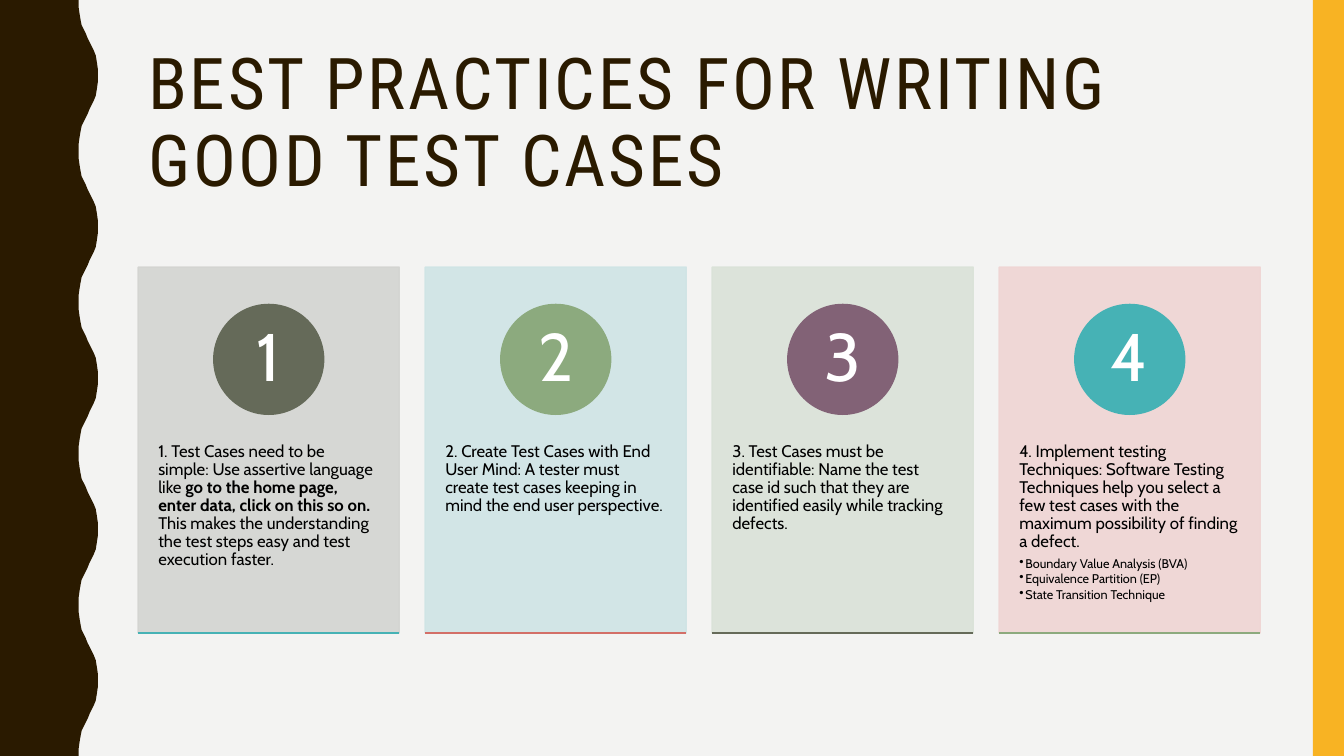
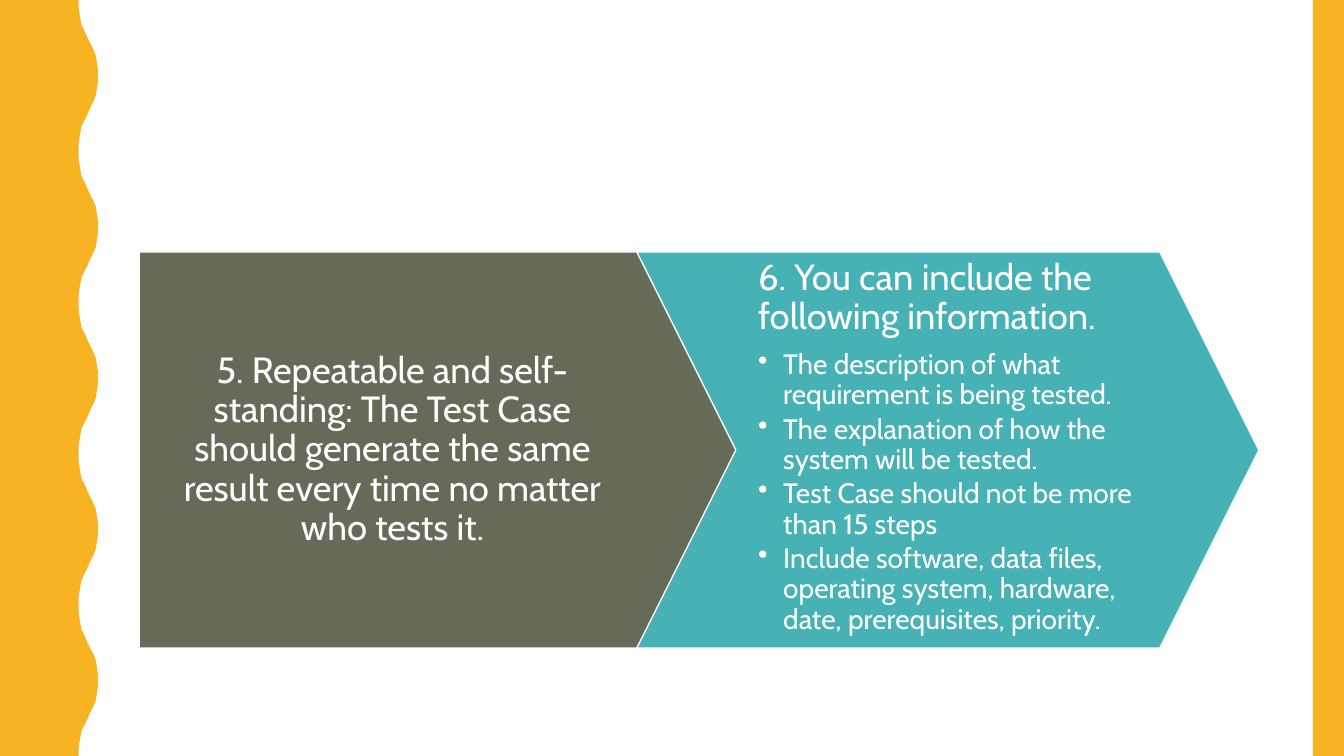
from dataclasses import dataclass

from lxml.etree import SubElement
from pptx import Presentation
from pptx.dml.color import RGBColor
from pptx.enum.shapes import MSO_CONNECTOR, MSO_SHAPE
from pptx.enum.text import MSO_ANCHOR, MSO_AUTO_SIZE, PP_ALIGN
from pptx.oxml.ns import qn
from pptx.util import Inches, Pt

# ---- Content ----
TITLE = "BEST PRACTICES FOR WRITING GOOD TEST CASES"

# Each card: runs of (text, bold), then bullets
PRACTICES = [
    ([("1. Test Cases need to be simple: Use assertive language like ", False),
      ("go to the home page, enter data, click on this so on. ", True),
      ("This makes the understanding the test steps easy and test execution faster.",
       False)], []),
    ([("2. Create Test Cases with End User Mind: A tester must create test cases "
       "keeping in mind the end user perspective.", False)], []),
    ([("3. Test Cases must be identifiable: Name the test case id such that they "
       "are identified easily while tracking defects.", False)], []),
    ([("4. Implement testing Techniques: Software Testing Techniques help you "
       "select a few test cases with the maximum possibility of finding a defect.",
       False)],
     ["Boundary Value Analysis (BVA)", "Equivalence Partition (EP)",
      "State Transition Technique"]),
]

REPEATABLE = [("5. Repeatable and self-standing: The Test Case should generate the "
               "same result every time no matter who tests it.", False)]
INFORMATION = [("6. You can include the following information.", False)]
INFORMATION_ITEMS = [
    "The description of what requirement is being tested.",
    "The explanation of how the system will be tested.",
    "Test Case should not be more than 15 steps",
    "Include software, data files, operating system, hardware, date, "
    "prerequisites, priority.",
]


# ---- Theme ----
@dataclass(frozen=True)
class Theme:
    """Colours, fonts and type sizes shared by both slides."""
    heading_font: str = "Roboto Condensed"
    body_font: str = "Cabin"
    brown: str = "2A1A00"
    amber: str = "F8B323"
    paper: str = "F3F3F2"
    white: str = "FFFFFF"
    black: str = "000000"
    olive: str = "656A59"
    teal: str = "46B2B5"
    tints: tuple = ("D3D4D1", "CFE4E5", "DAE2D8", "EFD5D4")
    badges: tuple = ("656A59", "8CAA7E", "826276", "46B2B5")
    rules: tuple = ("46B2B5", "D36F68", "656A59", "8CAA7E")
    title_size: float = 51
    badge_size: float = 48
    arrow_size: float = 26
    arrow_item_size: float = 20
    card_size: float = 12
    card_item_size: float = 9
    leading: float = 0.9
    after: float = 0.35
    item_after: float = 0.15


THEME = Theme()

# ---- Grid, in inches ----
SLIDE_W, SLIDE_H = 13.33, 7.5
LEFT, CONTENT_W = 1.37, 11.13
TITLE_TOP, TITLE_H = 0.42, 1.63
EDGE_W = 0.31
WAVE_LENGTH = 1.5
HALF_WAVE = [(0.78, 0), (0.78, 0.07), (0.79, 0.14), (0.8, 0.2), (0.81, 0.25),
             (0.83, 0.29), (0.85, 0.33), (0.87, 0.38), (0.89, 0.42), (0.91, 0.46),
             (0.93, 0.5), (0.95, 0.55), (0.96, 0.61), (0.97, 0.68)]
WAVE_MIN, WAVE_MAX = 0.78, 0.97
CARD_TOP, CARD_W, CARD_H = 2.65, 2.59, 3.63
BADGE_DROP, BADGE_D = 0.37, 1.09
ARROW_TOP, ARROW_W, ARROW_H = 2.5, 6.17, 3.93
ARROW_STEP, ARROW_POINT = 0.8, 0.25


def apply(target, formats):
    """Set each attribute named in formats on target."""
    for attribute, value in formats.items():
        setattr(target, attribute, value)


def rgb(colour):
    """Turn a hex string into a colour."""
    return RGBColor.from_string(colour)


def paint(shape, fill, line=None, opacity=None):
    """Give a shape a flat fill, an optional 1 pt line and an opacity."""
    shape.shadow.inherit = False
    shape.fill.solid()
    shape.fill.fore_color.rgb = rgb(fill)
    if line:
        shape.line.color.rgb = rgb(line)
        shape.line.width = Pt(1)
    else:
        shape.line.fill.background()
    if opacity:
        for colour in shape.element.spPr.iter(qn("a:srgbClr")):
            SubElement(colour, qn("a:alpha"), val=str(opacity * 1000))


def add_block(slide, preset, box, fill, line=None, opacity=None):
    """Add a preset shape at box (left, top, width, height)."""
    shape = slide.shapes.add_shape(preset, *map(Inches, box))
    paint(shape, fill, line, opacity)
    return shape


def set_frame(shape, insets, anchor):
    """Set wrapping, anchor and insets (left, top, right, bottom)."""
    frame = shape.text_frame
    sides = ("margin_left", "margin_top", "margin_right", "margin_bottom")
    apply(frame, {"word_wrap": True, "auto_size": MSO_AUTO_SIZE.NONE,
                  "vertical_anchor": anchor,
                  **dict(zip(sides, map(Inches, insets)))})
    return frame


def write(paragraph, runs, size, colour, align=PP_ALIGN.LEFT, after=THEME.after,
          font=THEME.body_font):
    """Write (text, bold) runs into a paragraph."""
    apply(paragraph, {"alignment": align, "line_spacing": THEME.leading,
                      "space_before": Pt(0), "space_after": Pt(size * after)})
    for words, bold in runs:
        run = paragraph.add_run()
        run.text = words
        apply(run.font, {"name": font, "size": Pt(size), "bold": bold})
        run.font.color.rgb = rgb(colour)


def write_items(frame, items, size, colour, indent):
    """Append bulleted paragraphs with a hanging indent."""
    for item in items:
        paragraph = frame.add_paragraph()
        paragraph.level = 1
        write(paragraph, [(item, False)], size, colour, after=THEME.item_after)
        properties = paragraph._p.get_or_add_pPr()
        properties.set("marL", str(Inches(indent)))
        properties.set("indent", str(-Inches(indent)))
        SubElement(properties, qn("a:buChar"), char="\u2022")


def add_bands(slide, background, wave_colour):
    """Set the background, the wavy left band and the amber right edge."""
    slide.background.fill.solid()
    slide.background.fill.fore_color.rgb = rgb(background)
    half = WAVE_LENGTH / 2
    points = [(0, 0)]
    for index in range(round(SLIDE_H / half)):
        for x, y in HALF_WAVE:
            edge = x if index % 2 == 0 else WAVE_MIN + WAVE_MAX - x
            if index % 2:
                edge = HALF_WAVE_MIRROR[y]
            points.append((edge, index * half + y))
    points += [(WAVE_MIN, SLIDE_H), (0, SLIDE_H)]
    builder = slide.shapes.build_freeform(0, 0)
    builder.add_line_segments([(Inches(x), Inches(y)) for x, y in points[1:]])
    paint(builder.convert_to_shape(), wave_colour)
    add_block(slide, MSO_SHAPE.RECTANGLE,
              (SLIDE_W - EDGE_W, 0, EDGE_W, SLIDE_H), THEME.amber)


# The falling half of the wave runs through the same widths in reverse
HALF_WAVE_MIRROR = dict(zip(
    [y for _, y in HALF_WAVE],
    [WAVE_MAX] + [x for x, _ in reversed(HALF_WAVE)]))


def add_title(slide):
    """Move and format the title placeholder."""
    heading = slide.shapes.title
    apply(heading, {"left": Inches(LEFT), "top": Inches(TITLE_TOP),
                    "width": Inches(CONTENT_W), "height": Inches(TITLE_H)})
    frame = set_frame(heading, (0.1, 0.05, 0.1, 0.05), MSO_ANCHOR.MIDDLE)
    paragraph = frame.paragraphs[0]
    write(paragraph, [(TITLE, False)], THEME.title_size, THEME.brown, after=0,
          font=THEME.heading_font)
    paragraph.runs[0].font._element.set("spc", "200")


def add_card(slide, index, runs, items):
    """Add one numbered practice card with its badge and bottom rule."""
    gap = (CONTENT_W - len(PRACTICES) * CARD_W) / (len(PRACTICES) - 1)
    left = LEFT + index * (CARD_W + gap)
    bottom = CARD_TOP + CARD_H
    tint = THEME.tints[index]
    card = add_block(slide, MSO_SHAPE.RECTANGLE, (left, CARD_TOP, CARD_W, CARD_H),
                     tint, tint, opacity=90)
    frame = set_frame(card, (0.2, 1.74, 0.2, 0.43), MSO_ANCHOR.TOP)
    write(frame.paragraphs[0], runs, THEME.card_size, THEME.black)
    write_items(frame, items, THEME.card_item_size, THEME.black, 0.06)

    badge_box = (left + (CARD_W - BADGE_D) / 2, CARD_TOP + BADGE_DROP,
                 BADGE_D, BADGE_D)
    badge = add_block(slide, MSO_SHAPE.OVAL, badge_box, THEME.badges[index],
                      THEME.badges[index])
    frame = set_frame(badge, (0.08, 0.01, 0.08, 0.01), MSO_ANCHOR.MIDDLE)
    write(frame.paragraphs[0], [(str(index + 1), False)], THEME.badge_size,
          THEME.white, PP_ALIGN.CENTER)

    ends = (left, bottom, left + CARD_W, bottom)
    rule = slide.shapes.add_connector(MSO_CONNECTOR.STRAIGHT, *map(Inches, ends))
    rule.line.color.rgb = rgb(THEME.rules[index])
    rule.line.width = Pt(1)
    SubElement(rule._element.spPr, qn("a:effectLst"))


def add_arrow(slide, index, preset, fill, insets, anchor, align, runs, items):
    """Add one arrow of the chain with its text."""
    left = LEFT + 0.01 + index * ARROW_W * ARROW_STEP
    arrow = add_block(slide, preset, (left, ARROW_TOP, ARROW_W, ARROW_H),
                      fill, THEME.white)
    arrow.adjustments[0] = ARROW_POINT
    frame = set_frame(arrow, insets, anchor)
    write(frame.paragraphs[0], runs, THEME.arrow_size, THEME.white, align)
    write_items(frame, items, THEME.arrow_item_size, THEME.white, 0.25)


def build():
    """Build both slides and save the presentation."""
    deck = Presentation()
    apply(deck, {"slide_width": Inches(SLIDE_W), "slide_height": Inches(SLIDE_H)})
    title_only, blank = deck.slide_layouts[5], deck.slide_layouts[6]

    practices = deck.slides.add_slide(title_only)
    add_bands(practices, THEME.paper, THEME.brown)
    add_title(practices)
    for index, (runs, items) in enumerate(PRACTICES):
        add_card(practices, index, runs, items)

    chain = deck.slides.add_slide(blank)
    add_bands(chain, THEME.white, THEME.amber)
    add_arrow(chain, 0, MSO_SHAPE.PENTAGON, THEME.olive, (0.22, 0.07, 0.87, 0.07),
              MSO_ANCHOR.MIDDLE, PP_ALIGN.CENTER, REPEATABLE, [])
    add_arrow(chain, 1, MSO_SHAPE.CHEVRON, THEME.teal, (0.22, 0.07, 0.22, 0.07),
              MSO_ANCHOR.TOP, PP_ALIGN.LEFT, INFORMATION, INFORMATION_ITEMS)
    deck.save("out.pptx")


build()
